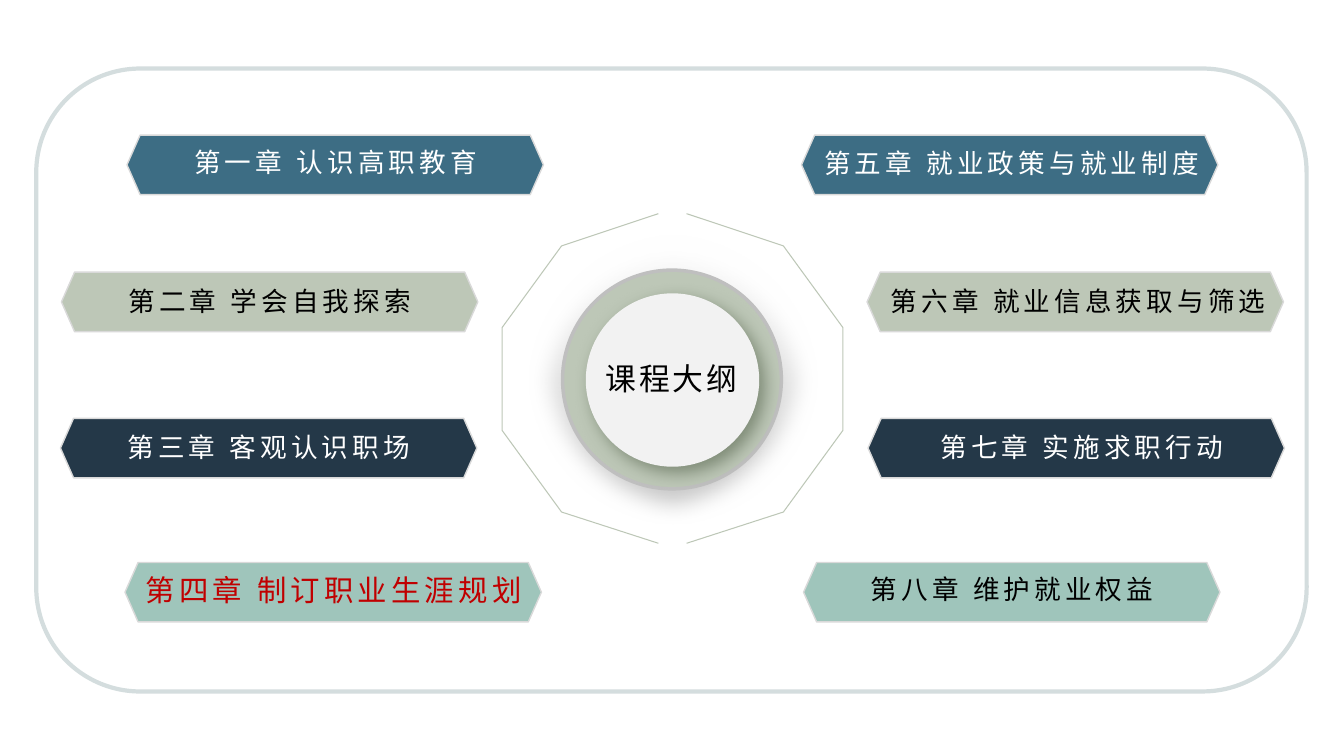
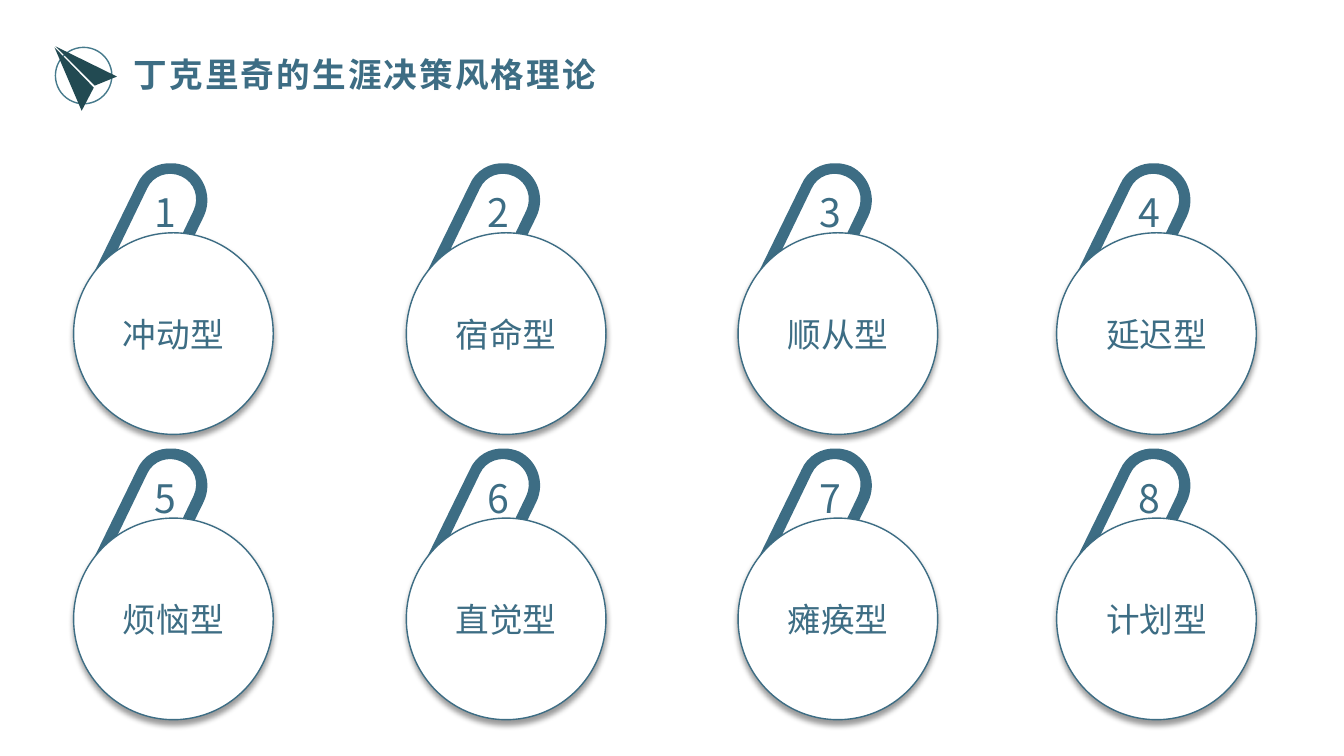
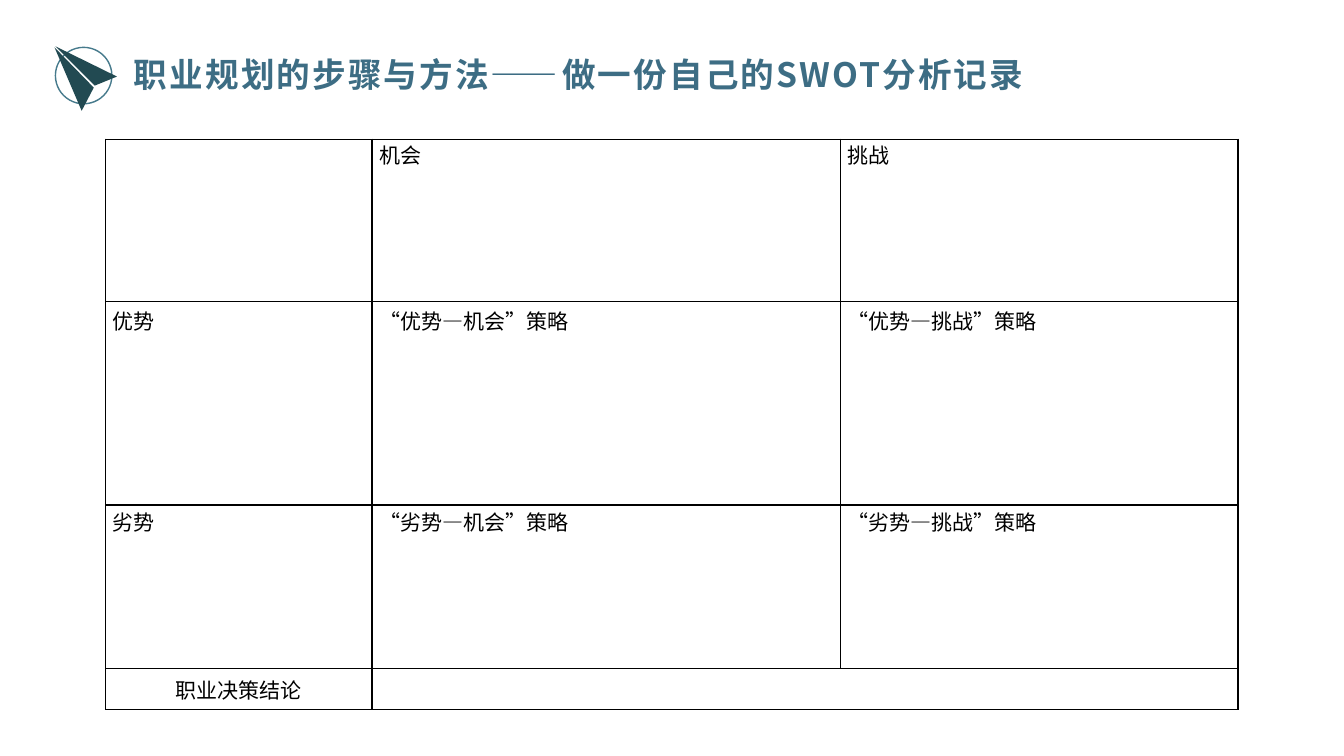
from lxml.etree import SubElement
from pptx import Presentation
from pptx.dml.color import RGBColor
from pptx.enum.shapes import MSO_SHAPE as SHAPE
from pptx.enum.text import MSO_ANCHOR as ANCHOR, PP_ALIGN as ALIGN
from pptx.oxml.ns import qn
from pptx.util import Pt

PX = 9144  # 100 px to the inch
FONT = "Noto Sans CJK SC"
BLUE, SAGE, NAVY, MINT = "3D6D84", "BDC7B7", "243848", "9FC5BB"
WHITE, BLACK, RED = "FFFFFF", "000000", "C00000"
EDGE, RING, FRAME = "D9D9D9", "BFBFBF", "D4DDDE"

# Chapters: banner left, text left, top and width, title, size, colour
BANNER_ROWS = [
    (134, BLUE, [(126, 171, 145, 324, "第一章 认识高职教育", 19, WHITE),
                 (795, 815, 146, 377, "第五章 就业政策与就业制度", 19, WHITE)]),
    (270, SAGE, [(61, 110, 282, 315, "第二章 学会自我探索", 19, BLACK),
                 (860, 871, 282, 397, "第六章 就业信息获取与筛选", 19, BLACK)]),
    (415, NAVY, [(60, 109, 427, 315, "第三章 客观认识职场", 19, WHITE),
                 (861, 917, 427, 312, "第七章 实施求职行动", 19, WHITE)]),
    (558, MINT, [(124, 138, 569, 386, "第四章 制订职业生涯规划", 21, RED),
                 (797, 859, 568, 290, "第八章 维护就业权益", 19, BLACK)]),
]

STYLES = ["冲动型", "宿命型", "顺从型", "延迟型",
          "烦恼型", "直觉型", "瘫痪型", "计划型"]
STYLE_LEFTS = [73, 403, 732, 1048]
STYLE_TOP, STYLE_PITCH = 162, 283

# Hook outline from its own corner: 2 numbers for a line, 6 for a curve
HOOK = [(80, 0), (84, 0, 89, 1, 94, 3), (112, 12, 120, 34, 111, 53),
        (91, 94), (77, 97), (101, 47), (107, 34, 102, 19, 89, 13),
        (76, 7, 61, 12, 55, 25), (14, 110), (1, 113), (0, 113),
        (45, 21), (51, 7, 65, -1, 80, 0)]

# Rows of the table: height, space above the text, texts
SWOT = [(161, 0, ["", "机会", "挑战"]),
        (202, 4, ["优势", "“优势—机会”策略", "“优势—挑战”策略"]),
        (162, 1, ["劣势", "“劣势—机会”策略", "“劣势—挑战”策略"]),
        (41, 0, ["职业决策结论", "", ""])]


def emu(*lengths):
    return [round(length * PX) for length in lengths]


def color(hex_code):
    return RGBColor.from_string(hex_code)


def paint(shape, fill=None, line=None, width=1):
    """Set fill and outline, and take the theme shadow away."""
    shape.shadow.inherit = False
    if fill:
        shape.fill.solid()
        shape.fill.fore_color.rgb = color(fill)
    else:
        shape.fill.background()
    if line:
        shape.line.color.rgb = color(line)
        shape.line.width = Pt(width)
    else:
        shape.line.fill.background()
    return shape


def add_effect(shape, tag, **attributes):
    effects = shape.element.spPr.find(qn("a:effectLst"))
    return SubElement(effects, qn(tag),
                      {key: str(value) for key, value in attributes.items()})


def cast_shadow(shape, hex_code, opacity, blur, distance, angle):
    shadow = add_effect(shape, "a:outerShdw", blurRad=Pt(blur), dist=Pt(distance),
                        dir=angle * 60000, algn="ctr", rotWithShape=0)
    tint = SubElement(shadow, qn("a:srgbClr"), val=hex_code)
    SubElement(tint, qn("a:alpha"), val=str(opacity * 1000))


def write(frame, text, size, hex_code, align=ALIGN.CENTER, bold=False,
          spacing=0, insets=None, wrap=True):
    """Put one styled run into a text frame."""
    frame.word_wrap = wrap
    frame.vertical_anchor = ANCHOR.MIDDLE
    if insets:
        (frame.margin_left, frame.margin_top,
         frame.margin_right, frame.margin_bottom) = emu(*insets)
    paragraph = frame.paragraphs[0]
    paragraph.alignment = align
    style_run(paragraph.add_run(), text, size, hex_code, bold, spacing)


def style_run(run, text, size, hex_code, bold=False, spacing=0):
    run.text = text
    run.font.size = Pt(size)
    run.font.bold = bold
    run.font.name = FONT
    run.font.color.rgb = color(hex_code)
    properties = run.font._element
    SubElement(properties, qn("a:ea"), typeface=FONT)
    if spacing:
        properties.set("spc", str(round(spacing * 100)))


def add_label(slide, box, *args, **options):
    write(slide.shapes.add_textbox(*emu(*box)).text_frame, *args, **options)


def add_preset(shapes, preset, box, *paints):
    return paint(shapes.add_shape(preset, *emu(*box)), *paints)


def add_outline(shapes, contours, *paints, close=True):
    first, *others = contours
    builder = shapes.build_freeform(*emu(*first[0]), scale=1.0)
    builder.add_line_segments([emu(*point) for point in first[1:]], close)
    for contour in others:
        builder.move_to(*emu(*contour[0]))
        builder.add_line_segments([emu(*point) for point in contour[1:]], close)
    return paint(builder.convert_to_shape(), *paints)


def add_hook(slide, left, top):
    """Draw the hook through its nodes, then bend the curved segments."""
    nodes = [(left + segment[-2], top + segment[-1]) for segment in HOOK]
    hook = add_outline(slide.shapes, [nodes], BLUE)
    straights = list(hook.element.iter(qn("a:lnTo")))
    for straight, segment in zip(straights, HOOK[1:]):
        if len(segment) == 6:
            curve = SubElement(straight.getparent(), qn("a:cubicBezTo"))
            for x, y in zip(segment[::2], segment[1::2]):
                SubElement(curve, qn("a:pt"), x=str(x * PX), y=str(y * PX))
            straight.getparent().replace(straight, curve)
    return hook


def add_banner(slide, left, top, fill):
    width, height, tip = 413, 59, 13
    right, bottom, middle = left + width, top + height, top + height / 2
    add_outline(slide.shapes, [[(left + tip, bottom), (left, middle), (left + tip, top),
                                (right - tip, top), (right, middle),
                                (right - tip, bottom)]], fill, EDGE, 1)


def add_heading(slide, title, width):
    """Title with the paper plane badge."""
    add_label(slide, (123, 49, width, 50), title, 24, BLUE, ALIGN.LEFT,
              bold=True, spacing=1.5, insets=(10, 4, 10, 6))
    badge = slide.shapes.add_group_shape().shapes
    add_preset(badge, SHAPE.OVAL, (55, 47, 56, 56), None, "467A8C", 1)
    add_outline(badge, [[(116, 76), (94, 85), (55, 46)],
                        [(93, 87), (81, 110), (54, 47)]], "224A52")


def add_style(slide, number, name, left, top):
    """Numbered hook behind a circle with the name of the style."""
    hook = add_hook(slide, left + 18, top)
    write(hook.text_frame, str(number), 28, BLUE, insets=(43, 12, 7, 28))
    disc = add_preset(slide.shapes, SHAPE.OVAL, (left, top + 69, 198, 200),
                      WHITE, BLUE, 1)
    cast_shadow(disc, BLACK, 40, 4, 3, 90)
    write(disc.text_frame, name, 24, BLUE)


def format_cell(cell, text, space_above, anchor, align):
    properties = cell._tc.get_or_add_tcPr()
    for side in ("a:lnL", "a:lnR", "a:lnT", "a:lnB"):
        border = SubElement(properties, qn(side), w=str(Pt(1)))
        SubElement(SubElement(border, qn("a:solidFill")), qn("a:srgbClr"), val=BLACK)
    cell.fill.background()
    (cell.margin_left, cell.margin_top,
     cell.margin_right, cell.margin_bottom) = emu(7, space_above, 7, 0)
    cell.vertical_anchor = anchor
    paragraph = cell.text_frame.paragraphs[0]
    paragraph.alignment = align
    if text:
        style_run(paragraph.add_run(), text, 15, BLACK)


def add_swot(slide):
    widths = emu(264, 465, 394)
    heights = emu(*(height for height, _, _ in SWOT))
    table = slide.shapes.add_table(len(heights), len(widths), *emu(105, 138),
                                   sum(widths), sum(heights)).table
    table.first_row = table.horz_banding = False
    for column, width in zip(table.columns, widths):
        column.width = width
    for row, height, (_, space_above, texts) in zip(table.rows, heights, SWOT):
        row.height = height
        conclusion = texts is SWOT[-1][-1]
        for cell, text in zip(row.cells, texts):
            format_cell(cell, text, space_above,
                        ANCHOR.MIDDLE if conclusion else ANCHOR.TOP,
                        ALIGN.CENTER if conclusion else ALIGN.LEFT)
    table.cell(3, 1).merge(table.cell(3, 2))


def build_outline(slide):
    # Soft glow and ring
    glow = add_preset(slide.shapes, SHAPE.OVAL, (522, 231, 291, 291))
    glow.fill.gradient()
    glow.fill.gradient_angle = 270
    for stop, hex_code in zip(glow.fill.gradient_stops, (WHITE, RING)):
        stop.color.rgb = color(hex_code)
    add_effect(glow, "a:softEdge", rad=Pt(16))
    add_preset(slide.shapes, SHAPE.OVAL, (558, 268, 217, 217), SAGE, RING, 2.5)

    # Chapters
    for top, fill, chapters in BANNER_ROWS:
        for left, text_left, text_top, text_width, title, size, ink in chapters:
            add_banner(slide, left, top, fill)
            add_label(slide, (text_left, text_top, text_width, 32), title, size, ink,
                      spacing=3, insets=(0, 0, 0, 0), wrap=False)

    # Hub
    hub = add_preset(slide.shapes, SHAPE.OVAL, (581, 291, 172, 172), "F2F2F2")
    cast_shadow(hub, "5D6B54", 64, 12, 6, 45)
    add_label(slide, (576, 357, 180, 37), "课程大纲", 22, BLACK, spacing=2,
              insets=(0, 0, 0, 0), wrap=False)

    # Two half polygons, mirrored about the hub
    for side in (1, -1):
        half = [(667 + side * x, y) for x, y in
                [(14, 212), (110, 244), (169, 325), (169, 427), (110, 508), (14, 539)]]
        add_outline(slide.shapes, [half], None, SAGE, 0.75, close=False)

    # Frame
    add_preset(slide.shapes, SHAPE.ROUNDED_RECTANGLE, (36, 68, 1260, 618),
               None, FRAME, 3)


def build_styles(slide):
    add_heading(slide, "丁克里奇的生涯决策风格理论", 667)
    for index, name in enumerate(STYLES):
        row, column = divmod(index, len(STYLE_LEFTS))
        add_style(slide, index + 1, name, STYLE_LEFTS[column],
                  STYLE_TOP + row * STYLE_PITCH)


def build_swot(slide):
    add_heading(slide, "职业规划的步骤与方法——做一份自己的SWOT分析记录", 971)
    add_swot(slide)


def main():
    deck = Presentation()
    deck.slide_width, deck.slide_height = emu(1333, 750)
    for build in (build_outline, build_styles, build_swot):
        build(deck.slides.add_slide(deck.slide_layouts[6]))
    deck.save("out.pptx")


if __name__ == "__main__":
    main()
